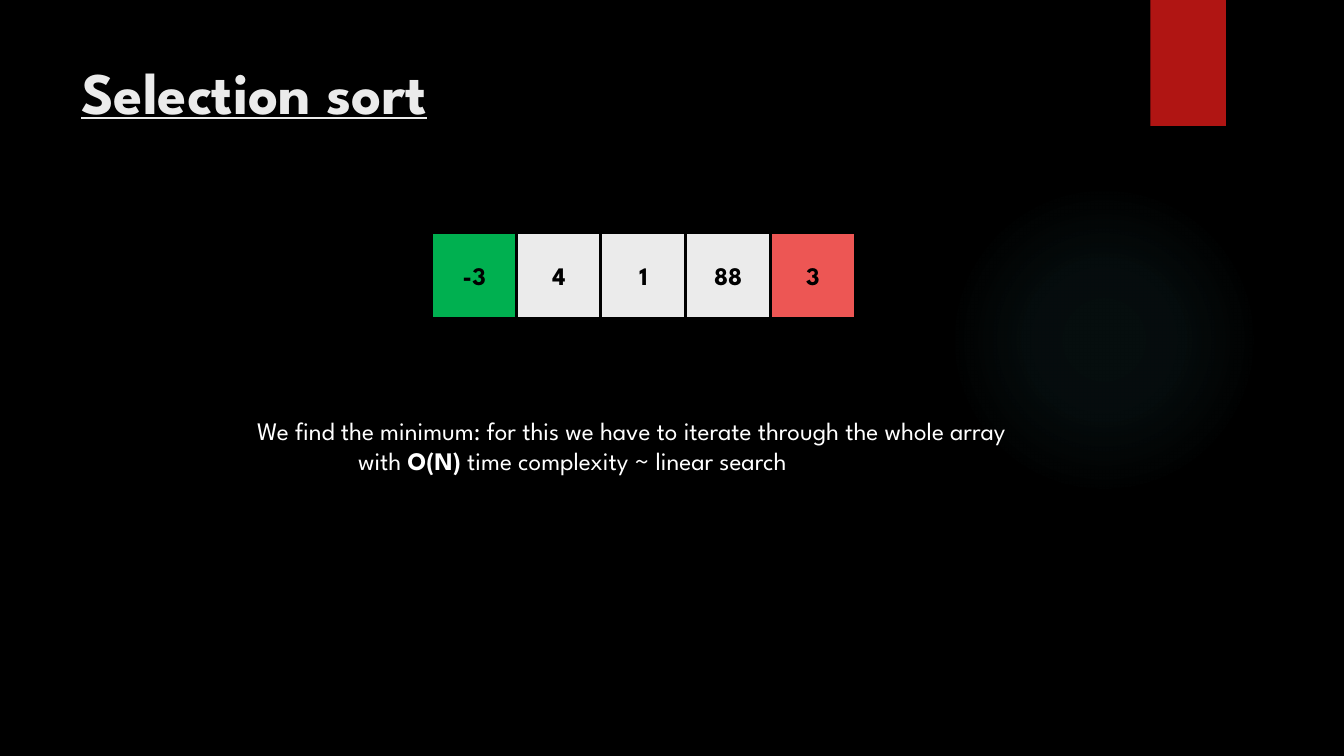
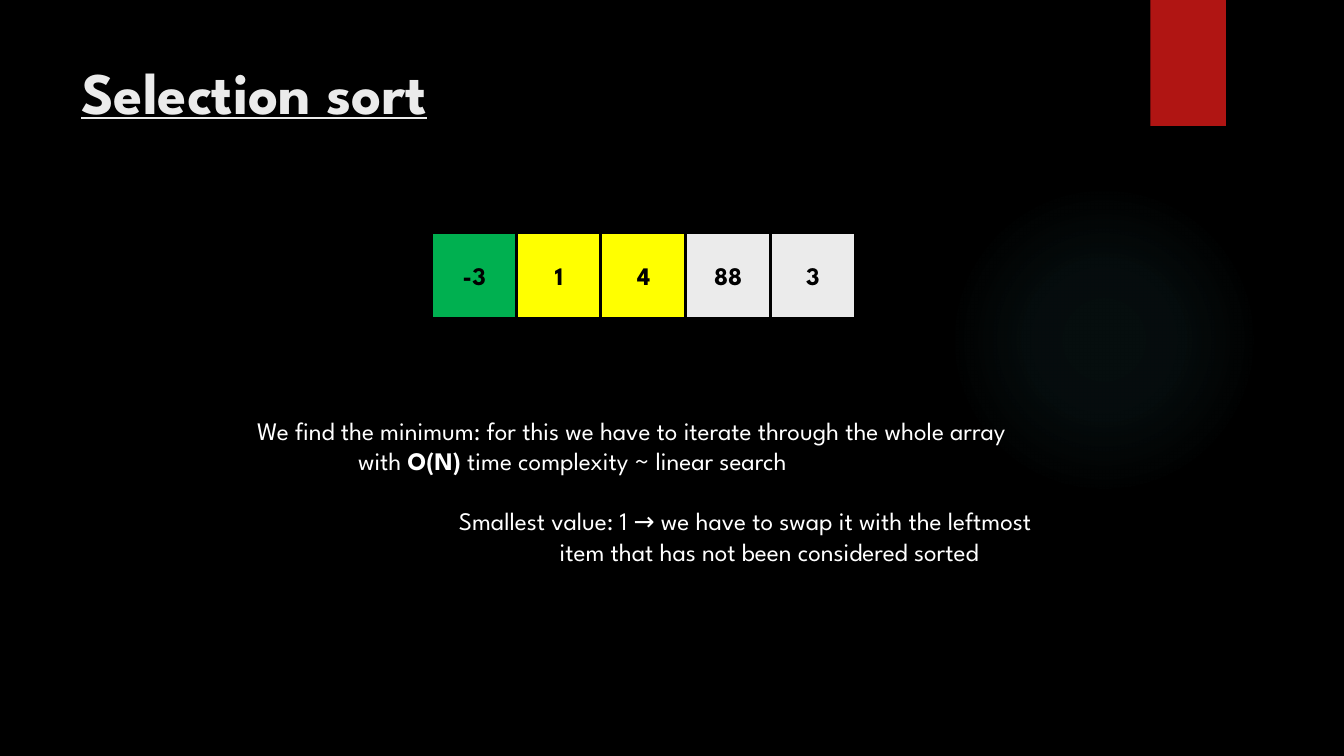
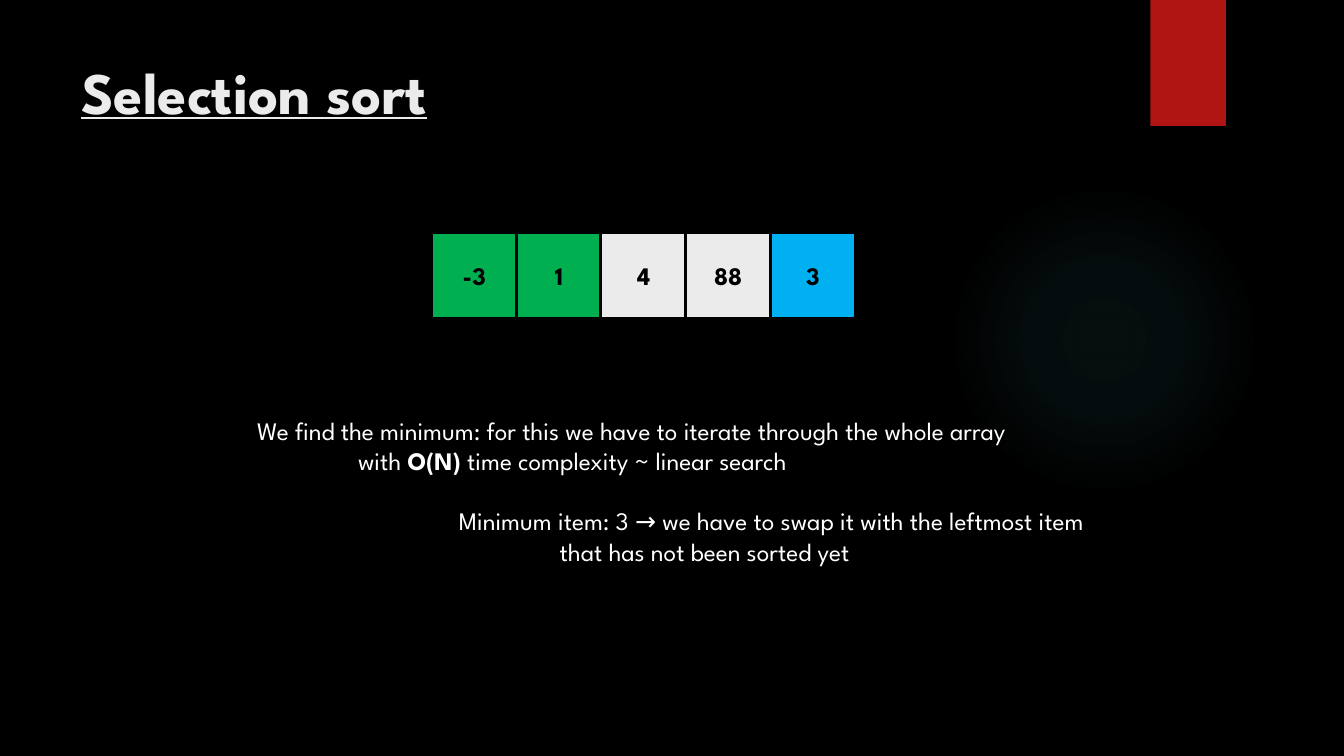
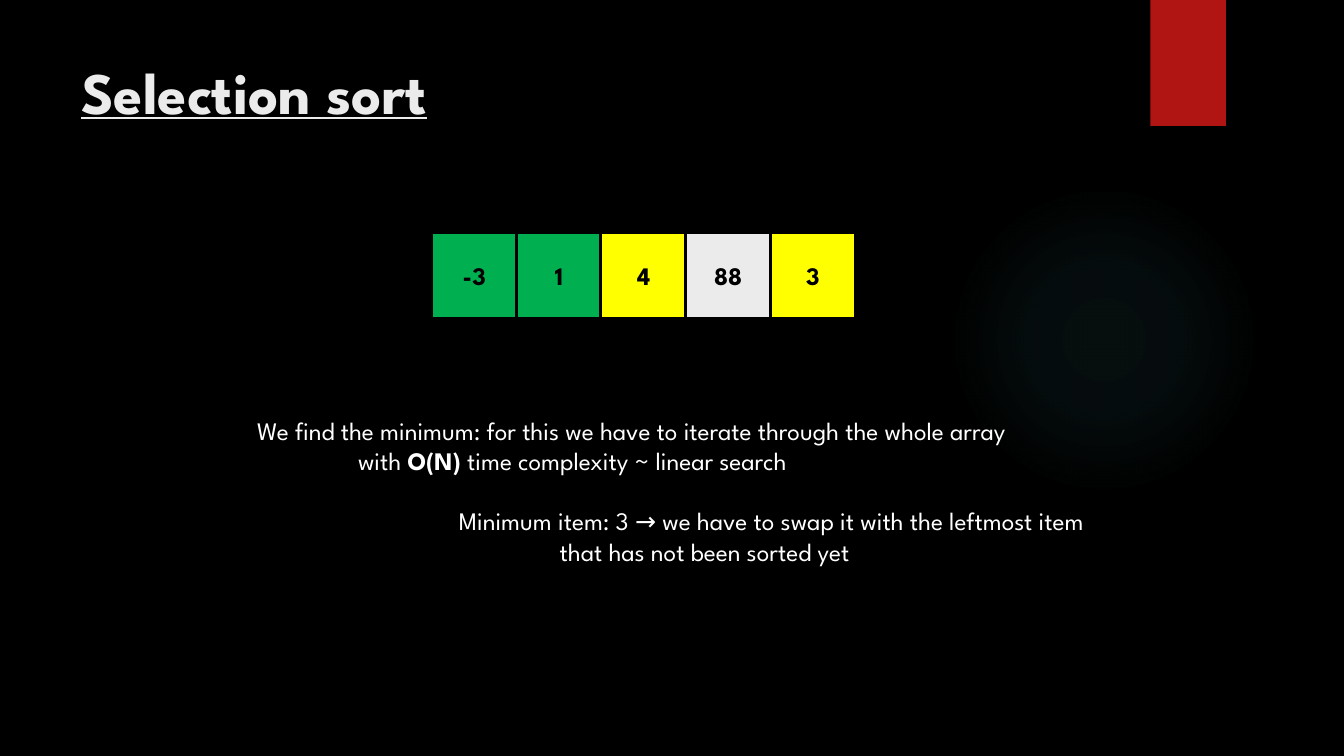
from pptx import Presentation
from pptx.dml.color import RGBColor
from pptx.enum.shapes import MSO_SHAPE
from pptx.enum.text import MSO_ANCHOR, PP_ALIGN
from pptx.oxml import parse_xml
from pptx.oxml.ns import nsdecls, qn
from pptx.util import Inches, Pt

BLACK = RGBColor(0x00, 0x00, 0x00)
WHITE = RGBColor(0xFF, 0xFF, 0xFF)
LIGHT = RGBColor(0xEB, 0xEB, 0xEB)
CRIMSON = RGBColor(0xB0, 0x15, 0x13)
GREEN = RGBColor(0x00, 0xB0, 0x50)
YELLOW = RGBColor(0xFF, 0xFF, 0x00)
CORAL = RGBColor(0xED, 0x56, 0x54)
BLUE = RGBColor(0x00, 0xB0, 0xF0)
GLOW = RGBColor(0x50, 0xB9, 0xC1)
FONT = "League Spartan"

presentation = Presentation()
presentation.slide_width = Inches(13.33)
presentation.slide_height = Inches(7.5)
presentation.slide_master.background.fill.solid()
presentation.slide_master.background.fill.fore_color.rgb = BLACK
blank_layout = presentation.slide_layouts[6]

COLUMN = presentation.slide_width / 100
ROW = presentation.slide_height / 100
CELL_LEFT, CELL_TOP, CELL_STEP = 32.1, 30.8, 6.3
CELL_WIDTH, CELL_HEIGHT = 6.38, 11.33


def area(left, top, width, height):
    return int(left * COLUMN), int(top * ROW), int(width * COLUMN), int(height * ROW)


def write(paragraph, text, size=18, color=WHITE, bold=False, underline=False,
          align=PP_ALIGN.LEFT, indent=0, before=0):
    paragraph._p.get_or_add_pPr().set("marL", str(Inches(indent)))
    paragraph.alignment = align
    paragraph.space_before = Pt(before)
    run = paragraph.add_run()
    run.text = text
    run.font.name = FONT
    run.font.size = Pt(size)
    run.font.color.rgb = color
    run.font.bold = bold
    run.font.underline = underline


GLOW_STOPS = "".join(
    f'<a:gs pos="{position * 1000}"><a:srgbClr val="{GLOW}">'
    f'<a:alpha val="{opacity * 1000}"/></a:srgbClr></a:gs>'
    for position, opacity in [(0, 7), (36, 6), (69, 0)]
)
GLOW_FILL = (
    f'<a:gradFill {nsdecls("a")}><a:gsLst>{GLOW_STOPS}</a:gsLst><a:path path="circle">'
    '<a:fillToRect l="50000" t="50000" r="50000" b="50000"/></a:path></a:gradFill>'
)

SMALLEST = ["Smallest value: 1 → we have to swap it with the leftmost",
            "item that has not been considered sorted"]
MINIMUM = ["Minimum item: 3 → we have to swap it with the leftmost item",
           "that has not been sorted yet"]

STEPS = [
    ([("-3", GREEN), ("4", LIGHT), ("1", LIGHT), ("88", LIGHT), ("3", CORAL)], [], 68.1, 17.5),
    ([("-3", GREEN), ("1", YELLOW), ("4", YELLOW), ("88", LIGHT), ("3", LIGHT)], SMALLEST, 68.1, 29.6),
    ([("-3", GREEN), ("1", GREEN), ("4", LIGHT), ("88", LIGHT), ("3", BLUE)], MINIMUM, 72.2, 33.6),
    ([("-3", GREEN), ("1", GREEN), ("4", YELLOW), ("88", LIGHT), ("3", YELLOW)], MINIMUM, 72.2, 33.6),
]

for cells, swap_lines, body_width, body_height in STEPS:
    slide = presentation.slides.add_slide(blank_layout)

    glow = slide.shapes.add_shape(MSO_SHAPE.OVAL, *area(70.6, 24.4, 23.1, 41.07))
    glow.shadow.inherit = False
    glow.line.fill.background()
    glow.fill.background()
    properties = glow._element.spPr
    properties.replace(properties.find(qn("a:noFill")), parse_xml(GLOW_FILL))

    ribbon = slide.shapes.add_shape(MSO_SHAPE.RECTANGLE, *area(85.6, 0, 5.62, 16.67))
    ribbon.shadow.inherit = False
    ribbon.line.fill.background()
    ribbon.fill.solid()
    ribbon.fill.fore_color.rgb = CRIMSON

    title = slide.shapes.add_textbox(*area(5.3, 6.67, 77.2, 20.4))
    title.text_frame.word_wrap = True
    write(title.text_frame.paragraphs[0], "Selection sort",
          size=42, color=LIGHT, bold=True, underline=True)

    for index, (value, color) in enumerate(cells):
        cell = slide.shapes.add_shape(
            MSO_SHAPE.RECTANGLE,
            *area(CELL_LEFT + index * CELL_STEP, CELL_TOP, CELL_WIDTH, CELL_HEIGHT))
        cell.shadow.inherit = False
        cell.fill.solid()
        cell.fill.fore_color.rgb = color
        cell.line.color.rgb = BLACK
        cell.line.width = Pt(2.25)
        cell.text_frame.vertical_anchor = MSO_ANCHOR.MIDDLE
        write(cell.text_frame.paragraphs[0], value,
              color=BLACK, bold=True, align=PP_ALIGN.CENTER)

    body = slide.shapes.add_textbox(*area(18.4, 54.27, body_width, body_height))
    frame = body.text_frame
    frame.word_wrap = True
    write(frame.paragraphs[0],
          "We find the minimum: for this we have to iterate through the whole array")
    complexity = frame.add_paragraph()
    for text, bold in [("with ", False), ("O(N)", True), (" time complexity ~ linear search", False)]:
        write(complexity, text, bold=bold, indent=1)
    for index, line in enumerate(swap_lines):
        write(frame.add_paragraph(), line, indent=2 + index, before=0 if index else 21.5)

presentation.save("out.pptx")
